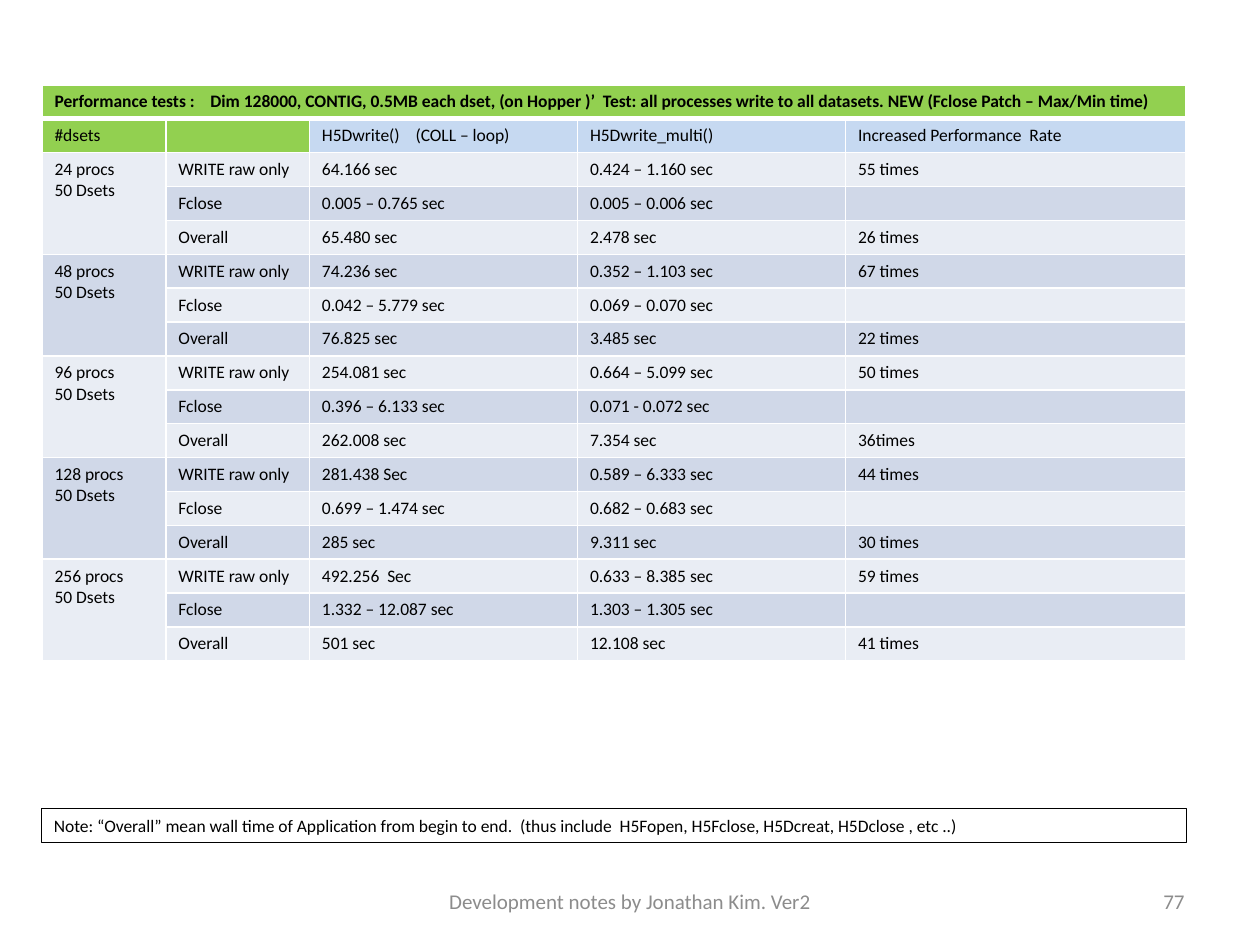
from pptx import Presentation
from pptx.dml.color import RGBColor
from pptx.enum.shapes import MSO_SHAPE
from pptx.enum.text import MSO_ANCHOR, PP_ALIGN
from pptx.oxml.ns import qn
from pptx.util import Pt
from lxml import etree

RECTANGLE = MSO_SHAPE.RECTANGLE
TOP, MIDDLE = MSO_ANCHOR.TOP, MSO_ANCHOR.MIDDLE
LEFT, CENTER, RIGHT = PP_ALIGN.LEFT, PP_ALIGN.CENTER, PP_ALIGN.RIGHT

# Content
TITLE = ("Performance tests :    Dim 128000, CONTIG, 0.5MB each dset, (on Hopper )’  "
         "Test: all processes write to all datasets. NEW (Fclose Patch – Max/Min time)")
HEADERS = ["#dsets", "", "H5Dwrite()    (COLL – loop)", "H5Dwrite_multi()",
           "Increased Performance  Rate"]
MEASURES = ["WRITE raw only", "Fclose", "Overall"]
GROUPS = [
    ("24 procs", [("64.166 sec", "0.424 – 1.160 sec", "55 times"),
                  ("0.005 – 0.765 sec", "0.005 – 0.006 sec", ""),
                  ("65.480 sec", "2.478 sec", "26 times")]),
    ("48 procs", [("74.236 sec", "0.352 – 1.103 sec", "67 times"),
                  ("0.042 – 5.779 sec", "0.069 – 0.070 sec", ""),
                  ("76.825 sec", "3.485 sec", "22 times")]),
    ("96 procs", [("254.081 sec", "0.664 – 5.099 sec", "50 times"),
                  ("0.396 – 6.133 sec", "0.071 - 0.072 sec", ""),
                  ("262.008 sec", "7.354 sec", "36times")]),
    ("128 procs", [("281.438 Sec", "0.589 – 6.333 sec", "44 times"),
                   ("0.699 – 1.474 sec", "0.682 – 0.683 sec", ""),
                   ("285 sec", "9.311 sec", "30 times")]),
    ("256 procs", [("492.256  Sec", "0.633 – 8.385 sec", "59 times"),
                   ("1.332 – 12.087 sec", "1.303 – 1.305 sec", ""),
                   ("501 sec", "12.108 sec", "41 times")]),
]
DATASETS = "50 Dsets"
NOTE = ("Note: “Overall” mean wall time of Application from begin to end.  "
        "(thus include  H5Fopen, H5Fclose, H5Dcreat, H5Dclose , etc ..)")
FOOTER = "Development notes by Jonathan Kim. Ver2"
PAGE_NUMBER = "77"

# Layout and colours
COLUMN_WIDTHS = [70.8, 82, 153.2, 153.2, 194.4]
ROW_HEIGHT = 19.37
TABLE_LEFT, TABLE_TOP = 24, 48.5
GREEN, BLUE, BLACK, WHITE, GRAY = "92D050", "C6D9F1", "000000", "FFFFFF", "8C8C8C"
BANDS = ["E9EDF4", "D0D8E8"]


def color(value):
    return RGBColor.from_string(value)


def write(frame, text, size=10, ink=BLACK, bold=False, align=LEFT):
    frame.text = text
    for paragraph in frame.paragraphs:
        paragraph.alignment = align
        font = paragraph.font
        font.name, font.size, font.bold = "Calibri", Pt(size), bold
        font.color.rgb = color(ink)
        if not text:  # keeps empty cells at the height of the text rows
            etree.SubElement(paragraph._p, qn("a:endParaRPr"), sz=str(size * 100))


def set_borders(cell, top, bottom):
    properties = cell._tc.get_or_add_tcPr()
    for side, width in (("L", 1), ("R", 1), ("T", top), ("B", bottom)):
        line = etree.SubElement(properties, qn(f"a:ln{side}"), w=str(Pt(width)))
        fill = etree.SubElement(line, qn("a:solidFill"))
        etree.SubElement(fill, qn("a:srgbClr"), val=WHITE)


def fill_cell(cell, text, fill, bold=False, top=1, bottom=1):
    write(cell.text_frame, text, bold=bold)
    set_borders(cell, top, bottom)
    cell.fill.solid()
    cell.fill.fore_color.rgb = color(fill)


def add_table(slide):
    size = len(MEASURES)
    row_count = 2 + size * len(GROUPS)
    table = slide.shapes.add_table(
        row_count, len(COLUMN_WIDTHS), Pt(TABLE_LEFT), Pt(TABLE_TOP),
        Pt(sum(COLUMN_WIDTHS)), Pt(ROW_HEIGHT * row_count)).table
    table.first_row = table.horz_banding = False
    for column, width in zip(table.columns, COLUMN_WIDTHS):
        column.width = Pt(width)
    for row in table.rows:
        row.height = Pt(ROW_HEIGHT)

    # Title and header rows
    for column, header in enumerate(HEADERS):
        fill_cell(table.cell(0, column), "" if column else TITLE, GREEN, bold=True, bottom=3)
        fill_cell(table.cell(1, column), header, GREEN if column < 2 else BLUE, top=3)
    table.cell(0, 0).merge(table.cell(0, len(HEADERS) - 1))

    # One group of three rows per process count
    for group, (processes, results) in enumerate(GROUPS):
        first = 2 + group * size
        for offset, (measure, values) in enumerate(zip(MEASURES, results)):
            row = first + offset
            label = "" if offset else f"{processes}\n{DATASETS}"
            fill_cell(table.cell(row, 0), label, BANDS[first % 2])
            for column, text in enumerate((measure, *values), 1):
                fill_cell(table.cell(row, column), text, BANDS[row % 2])
        table.cell(first, 0).merge(table.cell(first + size - 1, 0))


def add_note(slide):
    note = slide.shapes.add_shape(RECTANGLE, Pt(23.7), Pt(462), Pt(654.5), Pt(19.4))
    note.shadow.inherit = False
    note.fill.background()
    note.line.color.rgb = color(BLACK)
    note.line.width = Pt(0.75)
    note.text_frame.word_wrap = True
    note.text_frame.vertical_anchor = TOP
    write(note.text_frame, NOTE)


def add_footer(slide, text, left, width, align):
    frame = slide.shapes.add_textbox(Pt(left), Pt(500.5), Pt(width), Pt(28.75)).text_frame
    frame.word_wrap = True
    frame.vertical_anchor = MIDDLE
    write(frame, text, size=12, ink=GRAY, align=align)


def main():
    presentation = Presentation()
    presentation.slide_width, presentation.slide_height = Pt(720), Pt(540)
    slide = presentation.slides.add_slide(presentation.slide_layouts[6])
    add_table(slide)
    add_note(slide)
    add_footer(slide, FOOTER, 246, 228, CENTER)
    add_footer(slide, PAGE_NUMBER, 516, 168, RIGHT)
    presentation.save("out.pptx")


if __name__ == "__main__":
    main()
